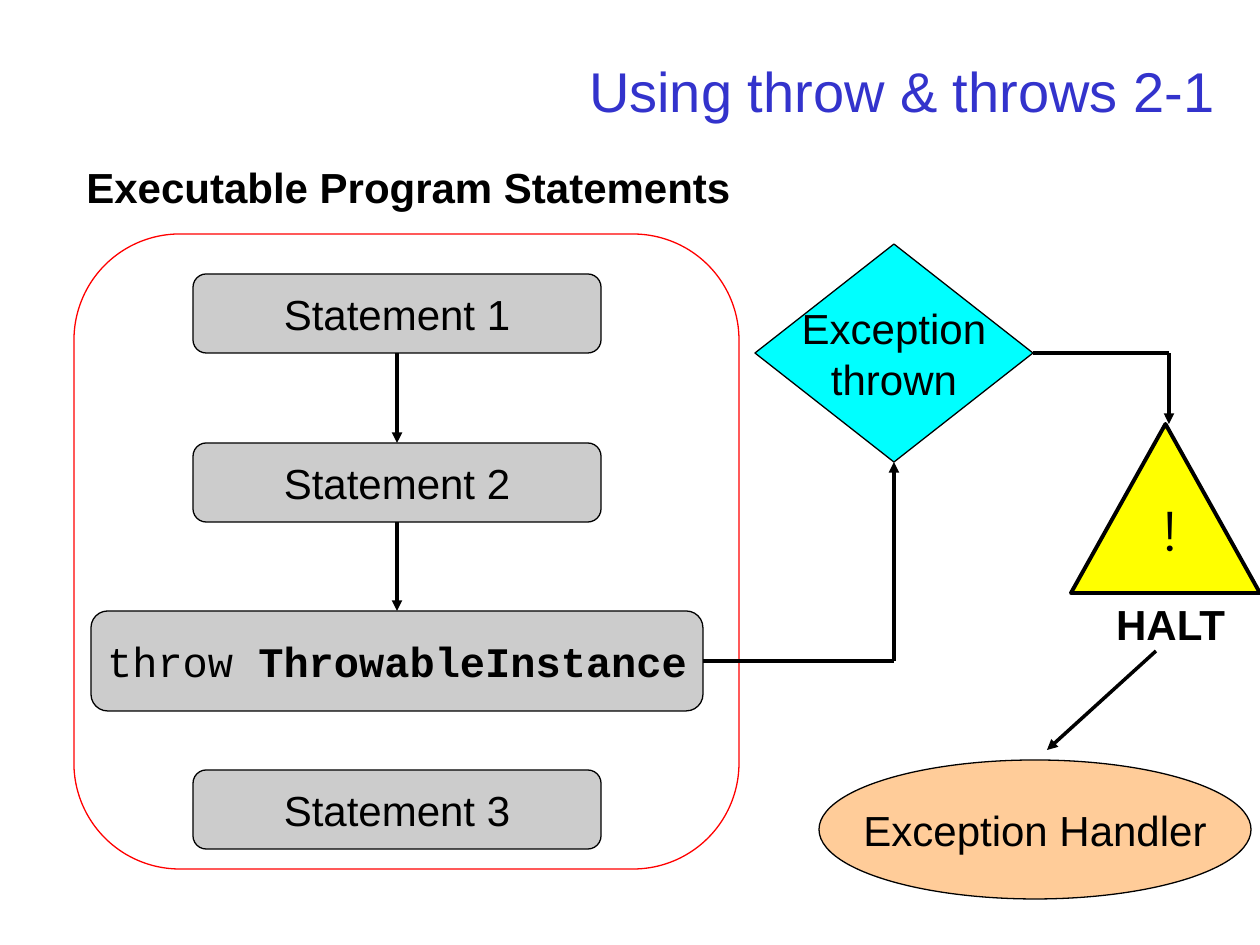
from lxml.etree import SubElement
from pptx import Presentation
from pptx.dml.color import RGBColor
from pptx.enum.shapes import MSO_CONNECTOR as Connector, MSO_SHAPE as Shape
from pptx.enum.text import MSO_ANCHOR as Anchor, PP_ALIGN as Align
from pptx.oxml.ns import qn
from pptx.util import Emu, Pt

EMU_PER_PX = 914400 / 126
COLORS = {
    "title": "3333CC", "ink": "000000", "statement": "808080", "frame": "FF0000",
    "decision": "00FFFF", "warning": "FFFF00", "handler": "FFCC99",
}
BODY = {"name": "Arial", "size": Pt(24), "bold": False}
HEADING = BODY | {"bold": True}
CODE = BODY | {"name": "Courier New"}
TITLE = BODY | {"size": Pt(32)}
MARK = TITLE | {"name": "Montserrat"}
TOP, BOTTOM, RIGHT = 0, 2, 3


def px(value):
    return Emu(round(value * EMU_PER_PX))


def color(key):
    return RGBColor.from_string(COLORS[key])


def write_lines(frame, lines, align, ink="ink"):
    """Each line is a list of (text, font format) runs."""
    for index, runs in enumerate(lines):
        paragraph = frame.paragraphs[0] if index == 0 else frame.add_paragraph()
        paragraph.alignment = align
        for text, font_format in runs:
            run = paragraph.add_run()
            run.text = text
            for name, value in font_format.items():
                setattr(run.font, name, value)
            run.font.color.rgb = color(ink)


def add_box(slide, kind, box, fill=None, lines=(), line="ink", width=0.75, opacity=None):
    shape = slide.shapes.add_shape(kind, *map(px, box))
    shape.shadow.inherit = False
    shape.line.color.rgb = color(line)
    shape.line.width = Pt(width)
    if fill:
        shape.fill.solid()
        shape.fill.fore_color.rgb = color(fill)
    else:
        shape.fill.background()
    if opacity:
        tint = shape.fill._xPr.find(qn("a:solidFill"))[0]
        SubElement(tint, qn("a:alpha"), val=str(opacity * 1000))
    shape.text_frame.word_wrap = False
    shape.text_frame.vertical_anchor = Anchor.MIDDLE
    write_lines(shape.text_frame, lines, Align.CENTER)
    return shape


def add_statement(slide, box, runs):
    return add_box(slide, Shape.ROUNDED_RECTANGLE, box, "statement", [runs], opacity=40)


def add_label(slide, box, text, font_format, align, wrap=True):
    frame = slide.shapes.add_textbox(*map(px, box)).text_frame
    frame.word_wrap = wrap
    write_lines(frame, [[(text, font_format)]], align)


def add_line(slide, start, end, arrow=True, begin=None, finish=None):
    """begin and finish are (shape, side) pairs that the line is joined to."""
    connector = slide.shapes.add_connector(Connector.STRAIGHT, *map(px, start + end))
    connector.line.color.rgb = color("ink")
    connector.line.width = Pt(2)
    if begin:
        connector.begin_connect(*begin)
    if finish:
        connector.end_connect(*finish)
    if arrow:
        SubElement(connector.line._get_or_add_ln(), qn("a:tailEnd"), type="triangle")
    SubElement(connector._element.spPr, qn("a:effectLst"))


def add_title(slide, text):
    title = slide.shapes.title
    box = {"left": 94, "top": 35, "width": 1134, "height": 110}
    for name, value in box.items():
        setattr(title, name, px(value))
    title.text_frame.vertical_anchor = Anchor.MIDDLE
    write_lines(title.text_frame, [[(text, TITLE)]], Align.RIGHT, "title")


def add_program(slide):
    """Framed statements; returns the one that throws."""
    add_label(slide, (74, 155, 694, 63), "Executable Program Statements", HEADING, Align.LEFT)
    add_box(slide, Shape.ROUNDED_RECTANGLE, (74, 234, 665, 635), line="frame")
    first, second, _ = [
        add_statement(slide, (193, top, 408, 79), [(f"Statement {number}", BODY)])
        for number, top in enumerate((274, 443, 770), start=1)
    ]
    throw = add_statement(slide, (91, 611, 612, 100),
                          [("throw ", CODE), ("ThrowableInstance", CODE | {"bold": True})])
    for upper, lower in ((first, second), (second, throw)):
        add_line(slide, (397, 353), (397, 443), begin=(upper, BOTTOM), finish=(lower, TOP))
    return throw


def add_exception_flow(slide, throw):
    decision = add_box(slide, Shape.FLOWCHART_DECISION, (755, 244, 278, 218), "decision",
                       [[("Exception", BODY)], [("thrown", BODY)]])
    # Halt warning
    add_box(slide, Shape.ISOSCELES_TRIANGLE, (1071, 424, 189, 169), "warning", width=2.25)
    add_label(slide, (1155, 489, 20, 79), "!", MARK, Align.CENTER, wrap=False)
    add_label(slide, (1091, 592, 159, 63), "HALT", HEADING, Align.CENTER)
    # Handler
    add_box(slide, Shape.OVAL, (819, 760, 432, 139), "handler", [[("Exception Handler", BODY)]])
    # Paths between the parts
    add_line(slide, (703, 661), (894, 661), arrow=False, begin=(throw, RIGHT))
    add_line(slide, (894, 661), (894, 462), finish=(decision, BOTTOM))
    add_line(slide, (1033, 353), (1169, 353), arrow=False, begin=(decision, RIGHT))
    add_line(slide, (1169, 353), (1169, 424))
    add_line(slide, (1156, 651), (1047, 750))


def main():
    presentation = Presentation()
    presentation.slide_width, presentation.slide_height = px(1260), px(945)
    slide = presentation.slides.add_slide(presentation.slide_layouts[5])
    add_title(slide, "Using throw & throws 2-1")
    throw = add_program(slide)
    add_exception_flow(slide, throw)
    presentation.save("out.pptx")


if __name__ == "__main__":
    main()
